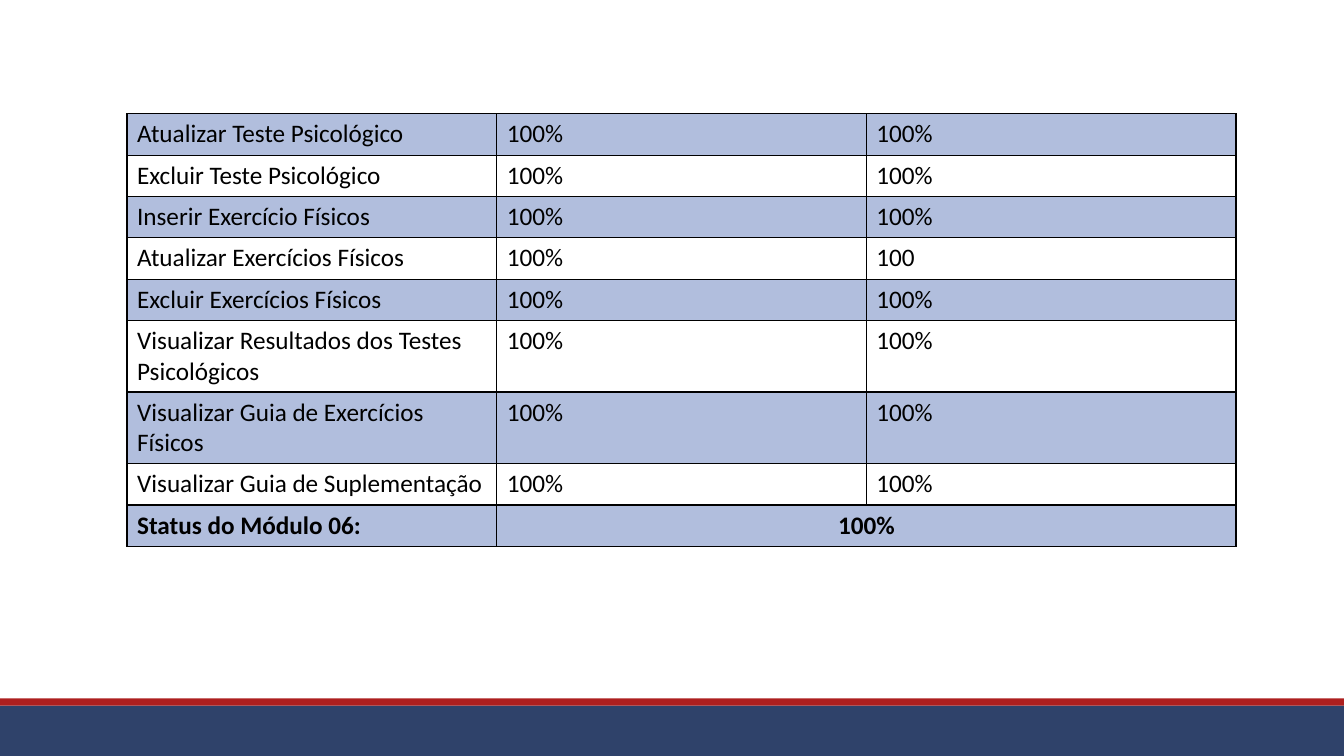
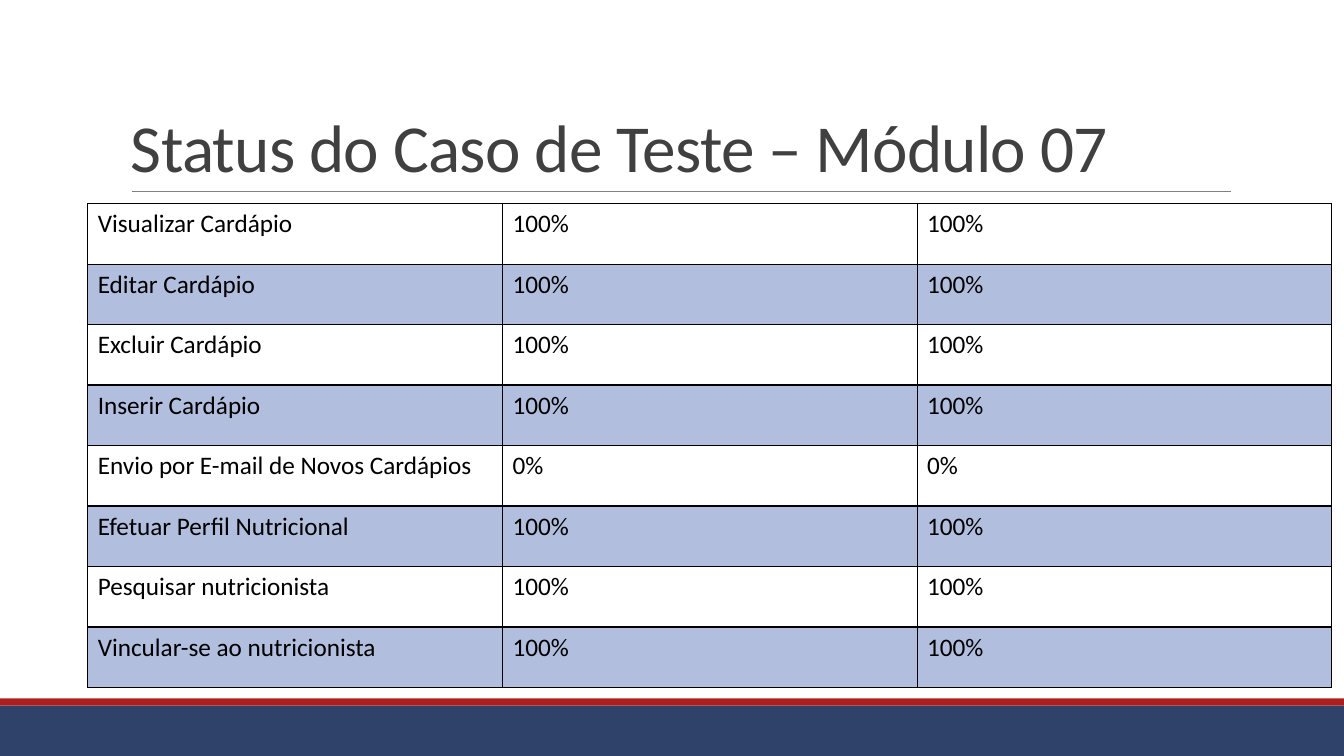
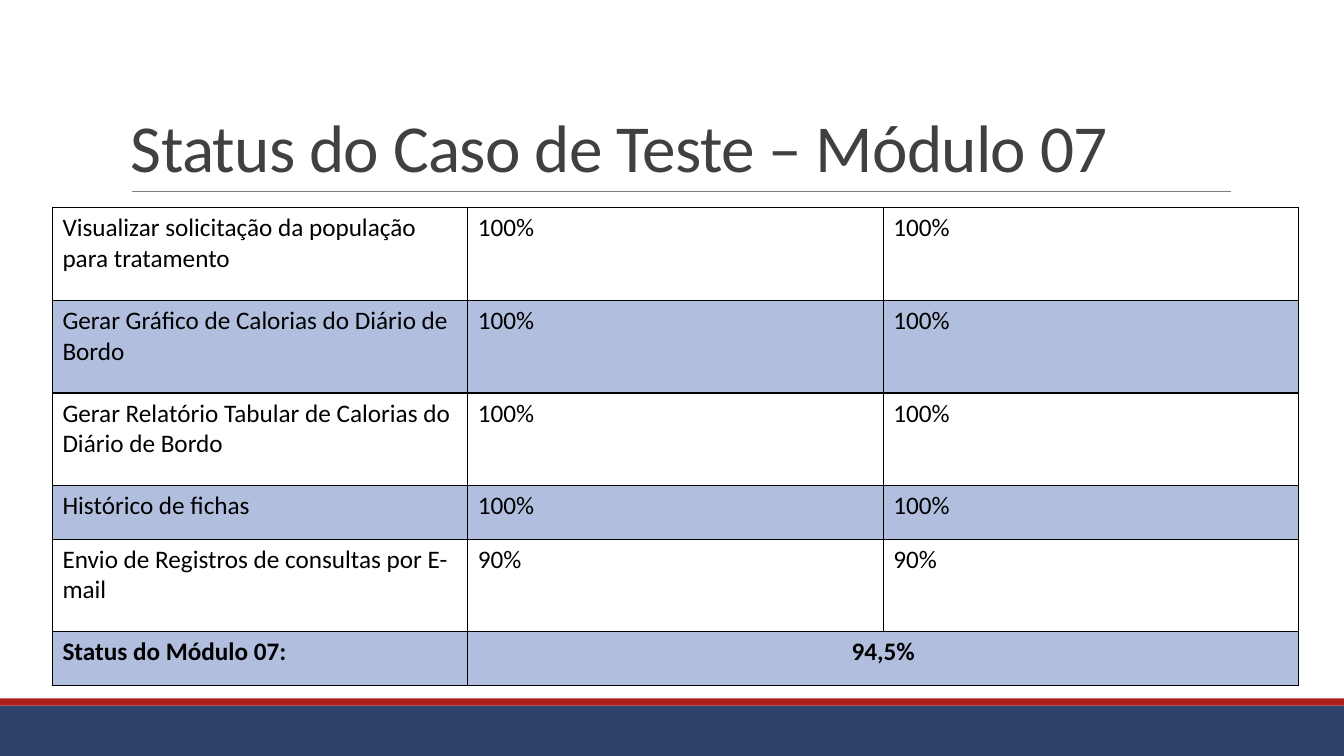
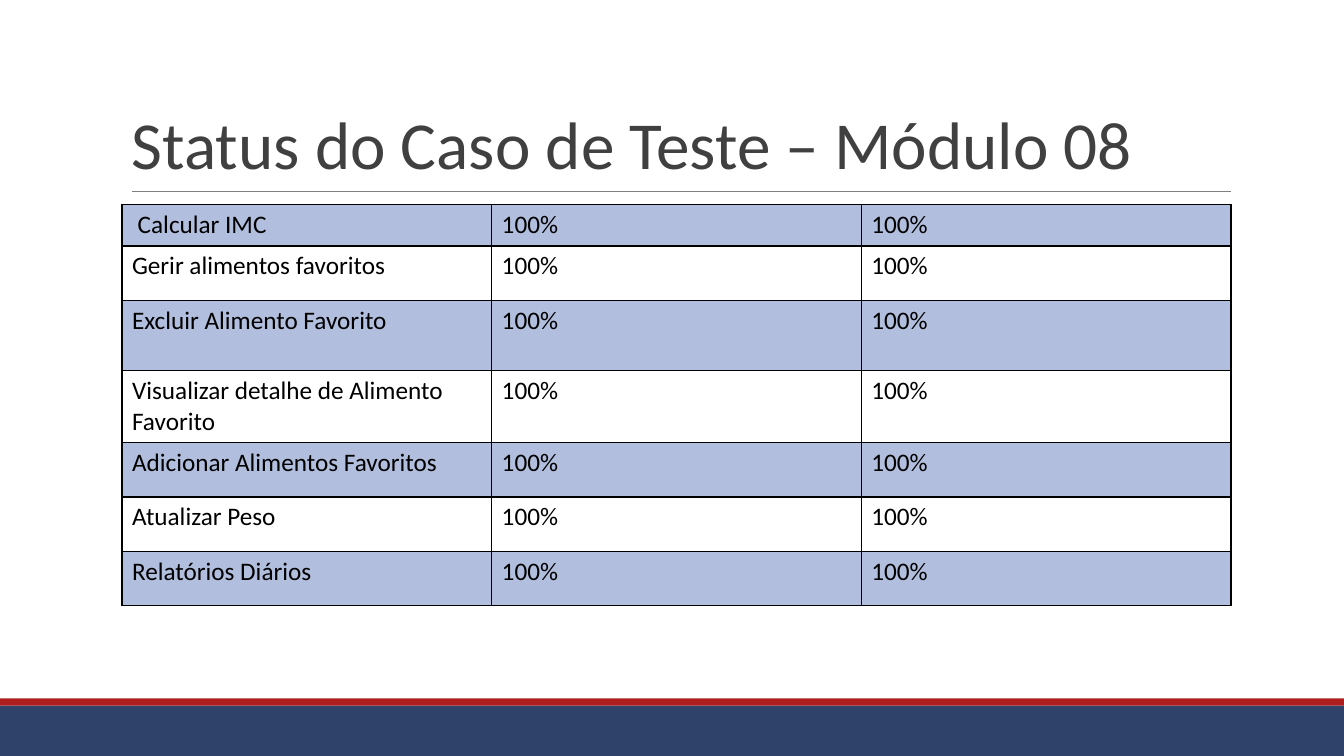
import pptx
import pptx.dml.color
import pptx.enum.shapes
import pptx.enum.text
import pptx.oxml
import pptx.oxml.ns
import pptx.util
from lxml import etree
from pptx.util import Inches

FONT = "Calibri"
NAVY, RED, GRAY = "2F426A", "AD1F1F", "808080"
TITLE_COLOR, BLACK, WHITE, BAND = "404040", "000000", "FFFFFF", "B1BEDD"
SLIDE_WIDTH, SLIDE_HEIGHT = 13.33, 7.5
FULL = "100%"


def color(hex_code):
    return pptx.dml.color.RGBColor.from_string(hex_code)


def set_font(paragraph, size, hex_code, bold=False):
    font = paragraph.font
    font.name, font.size, font.bold = FONT, pptx.util.Pt(size), bold
    font.color.rgb = color(hex_code)


def add_frame(slide):
    """Footer bands and the rule under the title."""
    for top, height, fill in ((7, 0.5, NAVY), (6.93, 0.07, RED)):
        band = slide.shapes.add_shape(
            pptx.enum.shapes.MSO_SHAPE.RECTANGLE,
            0, Inches(top), Inches(SLIDE_WIDTH), Inches(height))
        band.shadow.inherit = False
        band.fill.solid()
        band.fill.fore_color.rgb = color(fill)
        band.line.fill.background()

    rule = slide.shapes.add_connector(
        pptx.enum.shapes.MSO_CONNECTOR.STRAIGHT,
        Inches(1.31), Inches(1.9), Inches(12.21), Inches(1.9))
    rule.line.color.rgb = color(GRAY)
    rule.line.width = pptx.util.Pt(0.5)
    etree.SubElement(rule._element.spPr, pptx.oxml.ns.qn("a:effectLst"))


def add_title(slide, text, box, tight=True):
    """Title; a tight one sits at the bottom of its box with closer letters."""
    shape = slide.shapes.add_textbox(*map(Inches, box))
    frame = shape.text_frame
    frame.word_wrap = tight
    paragraph = frame.paragraphs[0]
    run = paragraph.add_run()
    run.text = text
    set_font(paragraph, 48, TITLE_COLOR)
    if tight:
        frame.vertical_anchor = pptx.enum.text.MSO_ANCHOR.BOTTOM
        paragraph.line_spacing = 0.85
        run.font._element.set("spc", "-50")
    else:
        frame.auto_size = pptx.enum.text.MSO_AUTO_SIZE.SHAPE_TO_FIT_TEXT


def set_borders(cell):
    properties = cell._tc.get_or_add_tcPr()
    for side in "LRTB":
        properties.append(pptx.oxml.parse_xml(
            f'<a:ln{side} {pptx.oxml.ns.nsdecls("a")} w="12700"><a:solidFill>'
            f'<a:srgbClr val="{BLACK}"/></a:solidFill></a:ln{side}>'))


def add_status_table(slide, left, top, width, rows, fills, total=None):
    """Rows are (height, label, values...); total is a closing merged row."""
    rows = rows + ([total] if total else [])
    height = sum(row[0] for row in rows)
    table = slide.shapes.add_table(
        len(rows), 3, Inches(left), Inches(top), Inches(width), Inches(height)).table
    table.first_row = table.horz_banding = False
    for column in table.columns:
        column.width = Inches(width / 3)

    for row_index, (row_height, *texts) in enumerate(rows):
        table.rows[row_index].height = Inches(row_height)
        is_total = bool(total) and row_index == len(rows) - 1
        if is_total:
            table.cell(row_index, 1).merge(table.cell(row_index, 2))
        elif len(texts) == 1:
            texts += [FULL, FULL]
        for column_index in range(3):
            cell = table.cell(row_index, column_index)
            set_borders(cell)
            cell.fill.solid()
            cell.fill.fore_color.rgb = color(fills[row_index % 2])
            if column_index < len(texts):
                cell.text = texts[column_index]
                paragraph = cell.text_frame.paragraphs[0]
                set_font(paragraph, 18, BLACK, is_total)
                if is_total and column_index == 1:
                    paragraph.alignment = pptx.enum.text.PP_ALIGN.CENTER


def main():
    presentation = pptx.Presentation()
    presentation.slide_width = Inches(SLIDE_WIDTH)
    presentation.slide_height = Inches(SLIDE_HEIGHT)

    def new_slide():
        slide = presentation.slides.add_slide(presentation.slide_layouts[6])
        add_frame(slide)
        return slide

    title_box = (1.2, 0.31, 11, 1.59)
    module_7 = "Status do Caso de Teste – Módulo 07"

    # Module 06
    add_status_table(new_slide(), 1.26, 1.13, 11, [
        (0.41, "Atualizar Teste Psicológico"),
        (0.41, "Excluir Teste Psicológico"),
        (0.41, "Inserir Exercício Físicos"),
        (0.41, "Atualizar Exercícios Físicos", FULL, "100"),
        (0.41, "Excluir Exercícios Físicos"),
        (0.71, "Visualizar Resultados dos Testes Psicológicos"),
        (0.71, "Visualizar Guia de Exercícios Físicos"),
        (0.41, "Visualizar Guia de Suplementação"),
    ], (BAND, WHITE), (0.41, "Status do Módulo 06:", FULL))

    # Module 07, menus
    slide = new_slide()
    add_title(slide, module_7, title_box)
    add_status_table(slide, 0.87, 2.02, 12.34, [
        (0.6, "Visualizar Cardápio"),
        (0.6, "Editar Cardápio"),
        (0.6, "Excluir Cardápio"),
        (0.6, "Inserir Cardápio"),
        (0.6, "Envio por E-mail de Novos Cardápios", "0%", "0%"),
        (0.6, "Efetuar Perfil Nutricional"),
        (0.6, "Pesquisar nutricionista"),
        (0.6, "Vincular-se ao nutricionista"),
    ], (WHITE, BAND))

    # Module 07, reports and total
    slide = new_slide()
    add_title(slide, module_7, title_box)
    add_status_table(slide, 0.52, 2.06, 12.36, [
        (0.92, "Visualizar solicitação da população para tratamento"),
        (0.92, "Gerar Gráfico de Calorias do Diário de Bordo"),
        (0.92, "Gerar Relatório Tabular de Calorias do Diário de Bordo"),
        (0.53, "Histórico de fichas"),
        (0.92, "Envio de Registros de consultas por E-mail", "90%", "90%"),
    ], (WHITE, BAND), (0.53, "Status do Módulo 07:", "94,5%"))

    # Module 08
    slide = new_slide()
    add_status_table(slide, 1.21, 2.03, 11, [
        (0.41, " Calcular IMC"),
        (0.54, "Gerir alimentos favoritos"),
        (0.7, "Excluir Alimento Favorito"),
        (0.71, "Visualizar detalhe de Alimento Favorito"),
        (0.54, "Adicionar Alimentos Favoritos"),
        (0.54, "Atualizar Peso"),
        (0.54, "Relatórios Diários"),
    ], (BAND, WHITE))
    add_title(slide, "Status do Caso de Teste – Módulo 08",
              (1.21, 0.97, 10.24, 0.91), tight=False)

    presentation.save("out.pptx")


if __name__ == "__main__":
    main()
